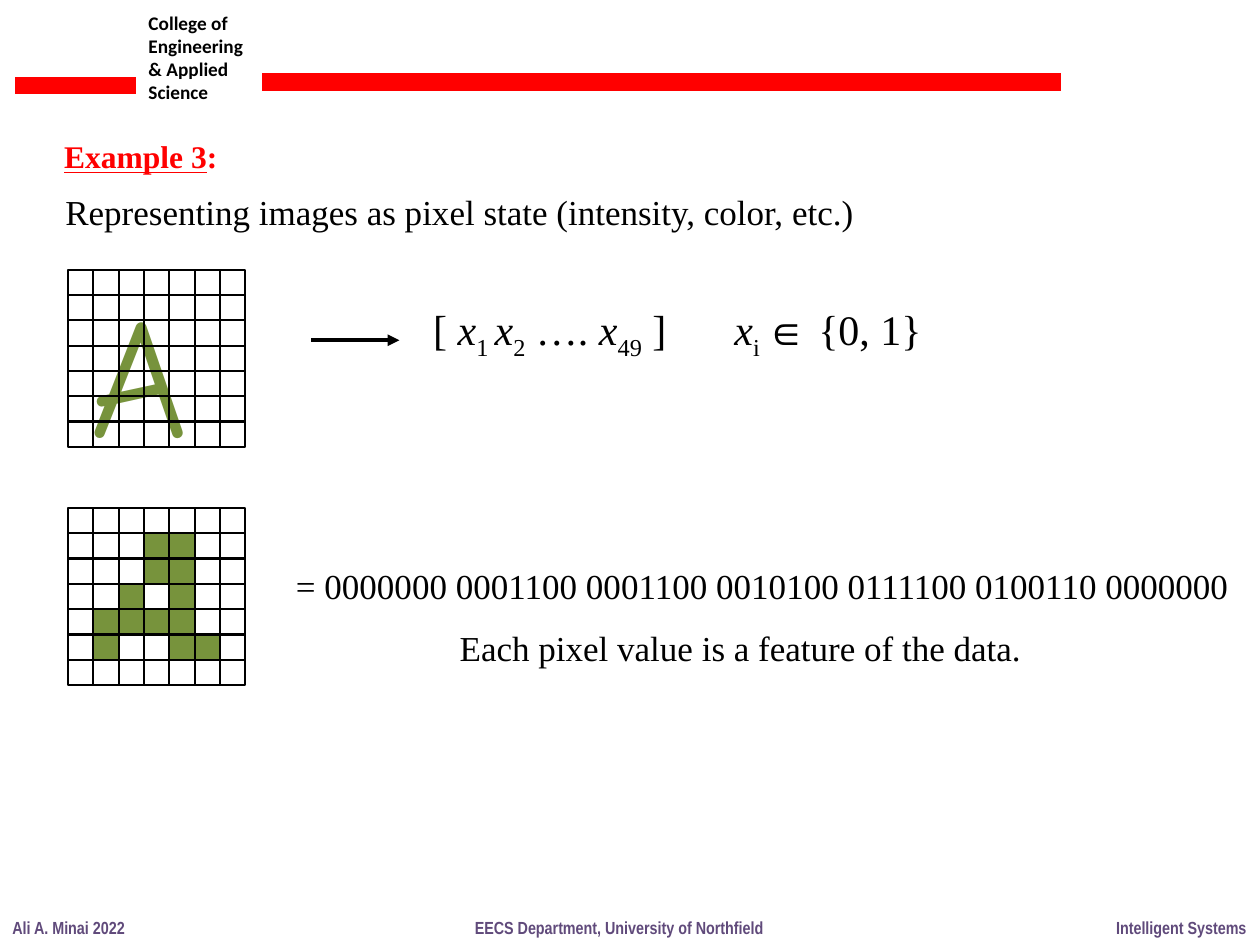
from dataclasses import dataclass

from lxml import etree
from pptx import Presentation
from pptx import util as u
from pptx.dml.color import RGBColor
from pptx.enum import shapes, text
from pptx.oxml.ns import qn


@dataclass(frozen=True)
class Theme:
    ink: str = "000000"
    accent: str = "FF0000"
    pixel: str = "77933C"
    footer: str = "604A7B"
    serif: str = "Times New Roman"
    sans: str = "Calibri"
    narrow: str = "Arial Narrow"
    hand: str = "Comic Neue"
    small: float = 10
    label: float = 11
    heading: float = 18
    body: float = 20
    formula: float = 24
    glyph: float = 96


THEME = Theme()
COLUMNS, ROWS = 100, 75
SLIDE_WIDTH, SLIDE_HEIGHT = u.Inches(10), u.Inches(7.5)
PIXEL_SIZE = 2.01
PIXELS_PER_SIDE = 7
LETTER_BITS = "0000000 0001100 0001100 0010100 0111100 0100110 0000000"


def col(count):
    return round(SLIDE_WIDTH * count / COLUMNS)


def row(count):
    return round(SLIDE_HEIGHT * count / ROWS)


def area(left, top, width, height):
    return col(left), row(top), col(width), row(height)


def write(frame, runs, size=THEME.body, font=THEME.serif, color=THEME.ink,
          bold=False, wrap=False, tab=None):
    """Fill a frame with (text, marks) runs; marks: i italic, u underline, s subscript."""
    frame.word_wrap = wrap
    frame.auto_size = text.MSO_AUTO_SIZE.SHAPE_TO_FIT_TEXT
    frame.vertical_anchor = text.MSO_ANCHOR.TOP
    paragraph = frame.paragraphs[0]
    paragraph.alignment = text.PP_ALIGN.LEFT
    if tab:
        stops = etree.SubElement(paragraph._p.get_or_add_pPr(), qn("a:tabLst"))
        etree.SubElement(stops, qn("a:tab"), pos=str(col(tab)), algn="l")
    for words, marks in [(runs, "")] if isinstance(runs, str) else runs:
        run = paragraph.add_run()
        run.text = words
        run.font.size = u.Pt(size)
        run.font.name = font
        run.font.color.rgb = RGBColor.from_string(color)
        run.font.bold = bold
        run.font.italic = "i" in marks
        run.font.underline = "u" in marks
        if "s" in marks:
            run._r.get_or_add_rPr().set("baseline", "-25000")


def add_text(parent, place, runs, **style):
    write(parent.shapes.add_textbox(*area(*place)).text_frame, runs, **style)


def add_rule(slide, start, end, y, color, weight, arrow=False):
    rule = slide.shapes.add_connector(
        shapes.MSO_CONNECTOR.STRAIGHT, col(start), row(y), col(end), row(y))
    rule.line.color.rgb = RGBColor.from_string(color)
    rule.line.width = u.Pt(weight)
    if arrow:
        etree.SubElement(rule.line._get_or_add_ln(), qn("a:tailEnd"), type="triangle")
    etree.SubElement(rule._element.spPr, qn("a:effectLst"))


def add_pixel_grid(group, left, top, bits):
    """Draw a square pixel grid row by row, filling the cells whose bit is 1."""
    for index, bit in enumerate(bits.replace(" ", "")):
        line, column = divmod(index, PIXELS_PER_SIDE)
        cell = group.shapes.add_shape(
            shapes.MSO_SHAPE.RECTANGLE,
            *area(left + column * PIXEL_SIZE, top + line * PIXEL_SIZE,
                  PIXEL_SIZE, PIXEL_SIZE))
        cell.shadow.inherit = False
        cell.line.color.rgb = RGBColor.from_string(THEME.ink)
        cell.line.width = u.Pt(1.25)
        if bit == "1":
            cell.fill.solid()
            cell.fill.fore_color.rgb = RGBColor.from_string(THEME.pixel)
        else:
            cell.fill.background()


def add_header(slide):
    add_text(slide, (10.8, 0.4, 10.9, 8.4),
             "College of Engineering & Applied Science",
             size=THEME.label, font=THEME.sans, bold=True, wrap=True)
    for start, end, y in [(1.2, 10.8, 6.8), (20.8, 84.2, 6.5)]:
        add_rule(slide, start, end, y, THEME.accent, 10)


def add_footer(slide):
    for left, width, words in [
            (0, 11, "Ali A. Minai 2022"),
            (36.7, 25.2, "EECS Department, University of Northfield"),
            (87.6, 12.4, "Intelligent Systems")]:
        add_text(slide, (left, 72.3, width, 2.7), words, size=THEME.small,
                 font=THEME.narrow, color=THEME.footer, bold=True)


def add_title(slide):
    title = slide.shapes.title
    title.left, title.top, title.width, title.height = area(4.1, 10.4, 14.3, 4)
    write(title.text_frame, [("Example 3", "u"), (":", "")],
          size=THEME.heading, color=THEME.accent, bold=True)


def main():
    deck = Presentation()
    deck.slide_width, deck.slide_height = SLIDE_WIDTH, SLIDE_HEIGHT
    slide = deck.slides.add_slide(deck.slide_layouts[5])

    add_header(slide)
    add_footer(slide)
    add_title(slide)
    add_text(slide, (4.2, 14.6, 65, 4.4),
             "Representing images as pixel state (intensity, color, etc.)")

    letter_image = slide.shapes.add_group_shape()
    add_text(letter_image, (6.2, 20.9, 12.2, 17), "A",
             size=THEME.glyph, font=THEME.hand, color=THEME.pixel)
    add_pixel_grid(letter_image, 5.4, 21.4, "0" * PIXELS_PER_SIDE ** 2)
    add_rule(slide, 24.7, 31.7, 27, THEME.ink, 2.25, arrow=True)
    add_text(slide, (33.4, 23.6, 43, 5),
             [("[ ", ""), ("x", "i"), ("1 ", "s"), ("x", "i"), ("2", "s"),
              (" …. ", ""), ("x", "i"), ("49", "s"), (" ]\t", ""),
              ("x", "i"), ("i ", "s"), ("∈ {0, 1}", "")],
             size=THEME.formula, wrap=True, tab=23.9)

    add_pixel_grid(slide.shapes.add_group_shape(), 5.4, 40.3, LETTER_BITS)
    add_text(slide, (22.5, 44.3, 77.2, 4.3), f"= {LETTER_BITS}")
    add_text(slide, (35.5, 49.2, 47.4, 4.4),
             "Each pixel value is a feature of the data.")

    deck.save("out.pptx")


if __name__ == "__main__":
    main()
